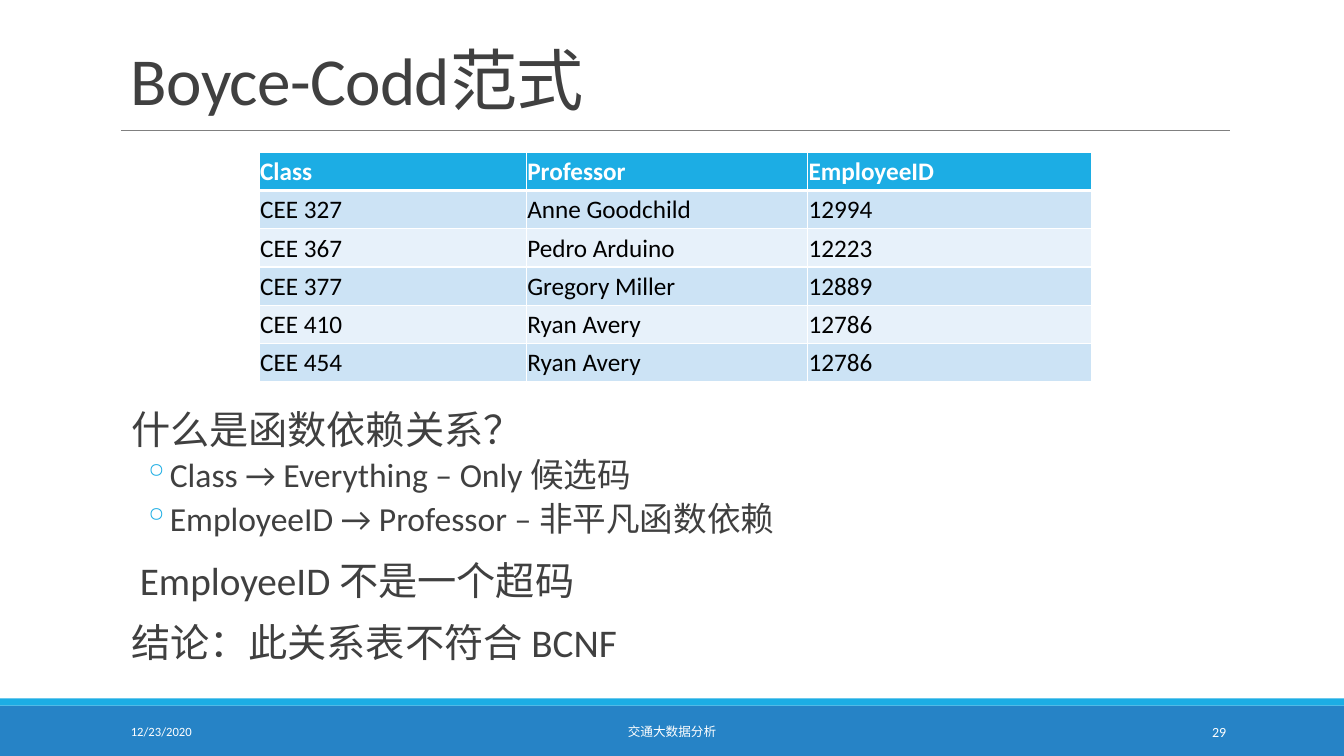
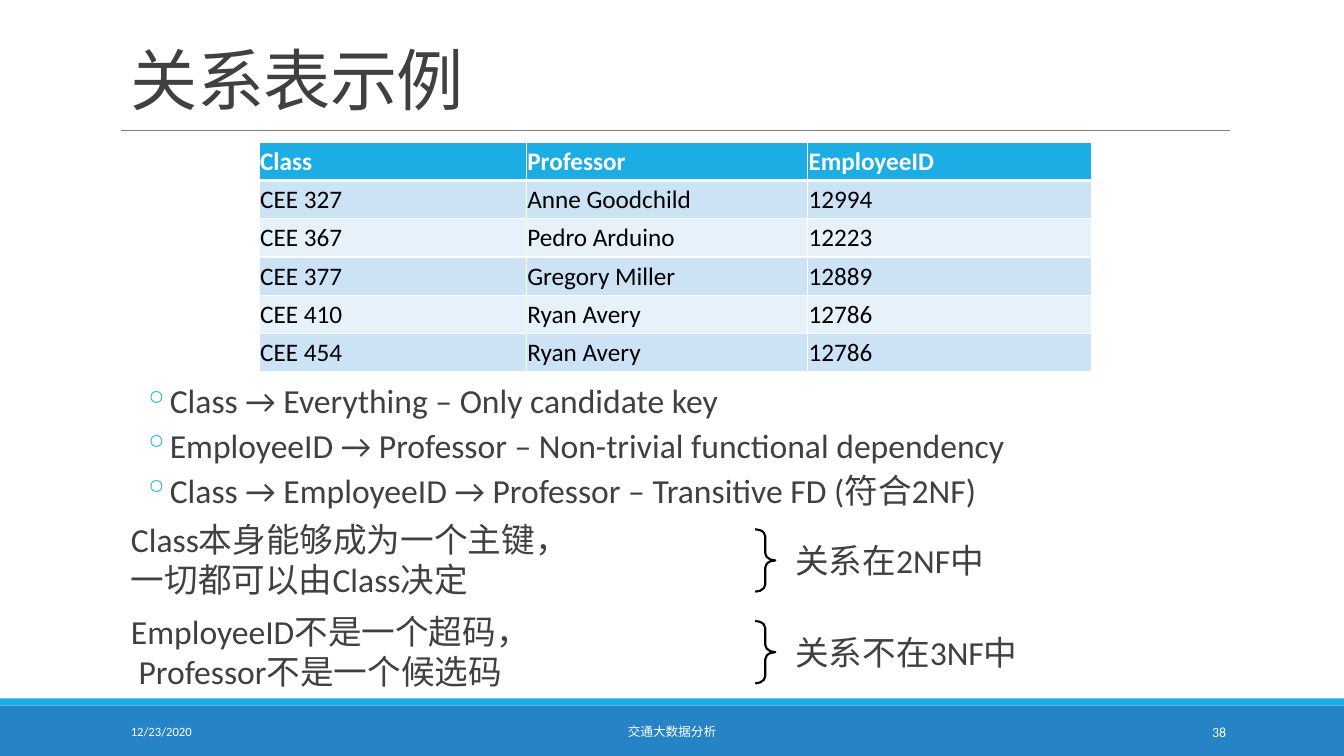
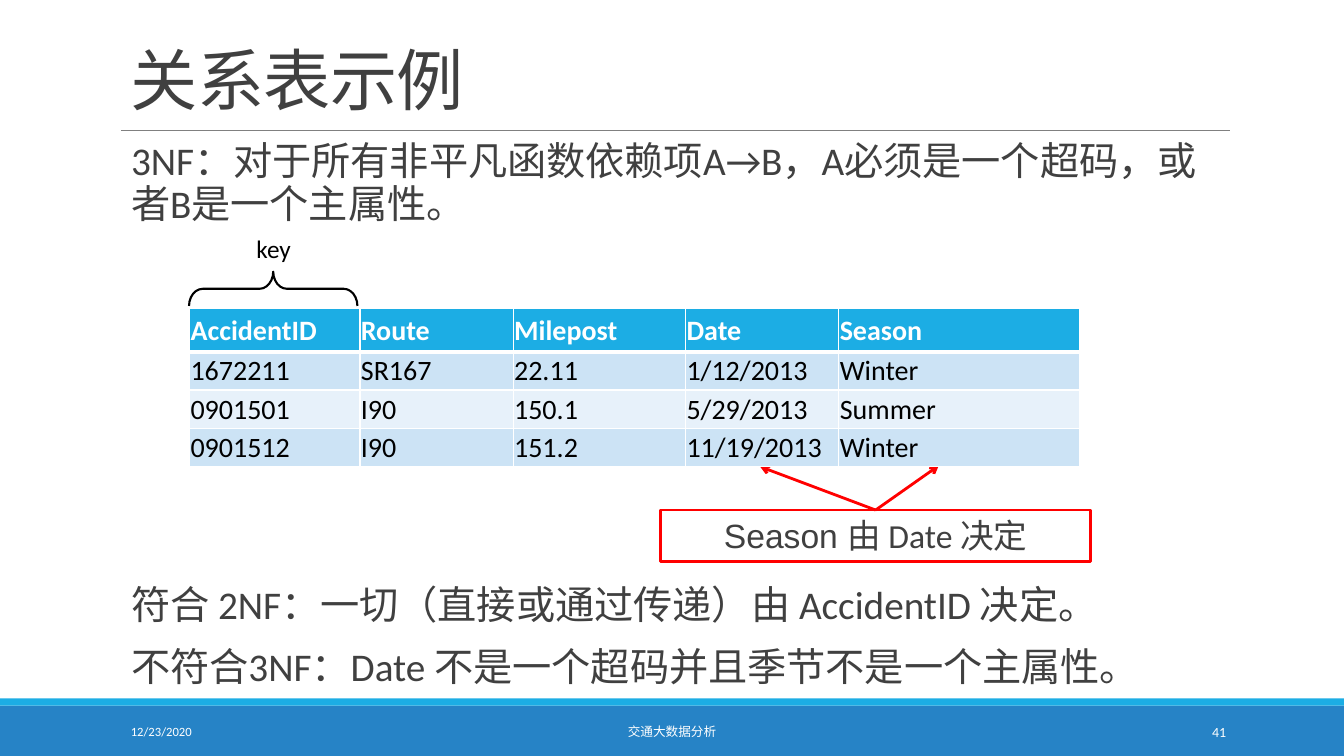
from lxml.etree import SubElement as Sub
from pptx import Presentation
from pptx.dml.color import RGBColor as Rgb
from pptx.enum.shapes import MSO_CONNECTOR as Link, MSO_SHAPE as Kind
from pptx.enum.text import MSO_ANCHOR as Anchor, PP_ALIGN as Align
from pptx.oxml.ns import qn
from pptx.util import Inches, Pt

HUES = {
    "white": "FFFFFF", "black": "000000", "ink": "404040", "rule": "808080",
    "band": "2683C6", "accent": "1CADE4", "dark row": "CCE3F5",
    "light row": "E7F1FA", "alert": "FF0000",
}
FONT = "Calibri"
LEFT, WIDE = 1.2, 11
STAFF = [
    ["Class", "Professor", "EmployeeID"],
    ["CEE 327", "Anne Goodchild", "12994"],
    ["CEE 367", "Pedro Arduino", "12223"],
    ["CEE 377", "Gregory Miller", "12889"],
    ["CEE 410", "Ryan Avery", "12786"],
    ["CEE 454", "Ryan Avery", "12786"],
]
CRASHES = [
    ["AccidentID", "Route", "Milepost", "Date", "Season"],
    ["1672211", "SR167", "22.11", "1/12/2013", "Winter"],
    ["0901501", "I90", "150.1", "5/29/2013", "Summer"],
    ["0901512", "I90", "151.2", "11/19/2013", "Winter"],
]


def hue(name):
    return Rgb.from_string(HUES[name])


def place(box):
    return [Inches(v) for v in box]


def add_run(para, text, size, color="ink", font=FONT, bold=False):
    run = para.add_run()
    run.text = text
    face = run.font
    face.size, face.name, face.bold = Pt(size), font, bold
    face.color.rgb = hue(color)
    return run


def add_box(slide, box, anchor=Anchor.TOP, inset=0.1):
    frame = slide.shapes.add_textbox(*place(box)).text_frame
    frame.word_wrap = True
    frame.vertical_anchor = anchor
    frame.margin_left = frame.margin_right = Inches(inset)
    return frame


def add_para(frame, index):
    return frame.paragraphs[0] if index == 0 else frame.add_paragraph()


def add_label(slide, box, lines, size, color="ink", align=Align.LEFT,
              anchor=Anchor.TOP):
    frame = add_box(slide, box, anchor)
    for i, line in enumerate(lines):
        para = add_para(frame, i)
        para.alignment = align
        add_run(para, line, size, color)


def add_body(slide, box, items):
    """Items are (level, text); level 1 is smaller and has a bullet."""
    frame = add_box(slide, box, inset=0)
    for i, (level, text) in enumerate(items):
        para = add_para(frame, i)
        para.level = level
        para.line_spacing = 0.9
        para.space_before, para.space_after = [(Pt(12), Pt(2)), (Pt(2), Pt(4))][level]
        props = para._p.get_or_add_pPr()
        props.set("marL", str(Inches([0.1, 0.42][level])))
        props.set("indent", str(Inches([0, -0.2][level])))
        if level:
            tint = Sub(props, qn("a:buClr"))
            Sub(tint, qn("a:srgbClr"), val=HUES["accent"])
            Sub(props, qn("a:buChar"), char="◦")
        add_run(para, text, [28, 24][level])


def add_edge(cell, side, width):
    line = Sub(cell._tc.get_or_add_tcPr(), qn("a:ln" + side), w=str(Pt(width)))
    Sub(Sub(line, qn("a:solidFill")), qn("a:srgbClr"), val=HUES["white"])


def add_grid(slide, left, top, rows, widths, size, head=0.38, step=0.38):
    high = head + step * (len(rows) - 1)
    box = place((left, top, sum(widths), high))
    table = slide.shapes.add_table(len(rows), len(widths), *box).table
    for col, width in zip(table.columns, widths):
        col.width = Inches(width)
    for r, row in enumerate(rows):
        table.rows[r].height = Inches(step if r else head)
        fill = ("dark row" if r % 2 else "light row") if r else "accent"
        for c, text in enumerate(row):
            cell = table.cell(r, c)
            cell.vertical_anchor = Anchor.MIDDLE
            cell.margin_left = cell.margin_right = cell.margin_top = Inches(0.01)
            cell.margin_bottom = 0
            for side in "LRTB":
                thick = (r, side) in ((0, "B"), (1, "T"))
                add_edge(cell, side, 3 if thick else 1)
            cell.fill.solid()
            cell.fill.fore_color.rgb = hue(fill)
            add_run(cell.text_frame.paragraphs[0], text, size,
                    "black" if r else "white", bold=r == 0)


def add_form(slide, kind, box, fill=None, line=None, width=1.5):
    form = slide.shapes.add_shape(kind, *place(box))
    form.shadow.inherit = False
    if fill:
        form.fill.solid()
        form.fill.fore_color.rgb = hue(fill)
    else:
        form.fill.background()
    if line:
        form.line.color.rgb = hue(line)
        form.line.width = Pt(width)
    else:
        form.line.fill.background()
    return form


def add_brace(slide, box, bend, turn=0):
    brace = add_form(slide, Kind.RIGHT_BRACE, box, line="black")
    brace.adjustments[0] = bend
    brace.rotation = turn


def add_line(slide, start, end, color, width):
    line = slide.shapes.add_connector(Link.STRAIGHT, *place(start + end))
    line.line.color.rgb = hue(color)
    line.line.width = Pt(width)
    Sub(line._element.spPr, qn("a:effectLst"))
    return line


def add_slide(deck, title, number):
    """Blank slide with the shared bands, title, rule and footer."""
    slide = deck.slides.add_slide(deck.slide_layouts[6])
    add_form(slide, Kind.RECTANGLE, (0, 7, 13.33, 0.5), "band")
    add_form(slide, Kind.RECTANGLE, (0, 6.93, 13.33, 0.07), "accent")
    add_line(slide, (LEFT, 1.29), (LEFT + WIDE, 1.29), "rule", 0.5)
    frame = add_box(slide, (LEFT, 0.14, WIDE, 1.09), Anchor.BOTTOM)
    para = frame.paragraphs[0]
    para.line_spacing = 0.85
    run = add_run(para, title, 48)
    run._r.get_or_add_rPr().set("spc", "-50")
    for left, width, text, size, align in (
        (LEFT, 2.7, "12/23/2020", 9, Align.LEFT),
        (4.03, 5.27, "交通大数据分析", 9, Align.CENTER),
        (10.83, 1.43, str(number), 10, Align.RIGHT),
    ):
        add_label(slide, (left, 7.06, width, 0.4), [text], size, "white",
                  align, Anchor.MIDDLE)
    return slide


def add_staff(slide, top):
    add_grid(slide, 2.57, top, STAFF, (2.65, 2.79, 2.82), 18)


def add_proof(slide, top, lines, result):
    """Two lines of reasoning, braced to their conclusion."""
    add_label(slide, (LEFT, top, 6.51, 0.91), lines, 24)
    add_brace(slide, (7.49, top + 0.15, 0.2, 0.62), 0.36)
    add_label(slide, (7.79, top + 0.2, 3.96, 0.51), [result], 24,
              anchor=Anchor.MIDDLE)


def add_callout(slide, box, tips):
    note = add_form(slide, Kind.RECTANGLE, box, line="alert", width=2)
    frame = note.text_frame
    frame.word_wrap = True
    frame.vertical_anchor = Anchor.TOP
    para = frame.paragraphs[0]
    para.alignment = Align.CENTER
    add_run(para, "Season ", 24, font="Arial")
    add_run(para, "由 Date 决定", 24)
    left, top, width, _ = box
    for tip in tips:
        arrow = add_line(slide, (left + width / 2, top), tip, "alert", 2)
        arrow.begin_connect(note, 0)
        Sub(arrow.line._get_or_add_ln(), qn("a:tailEnd"), type="arrow")


def add_codd(deck):
    slide = add_slide(deck, "Boyce-Codd范式", 29)
    add_body(slide, (LEFT, 4.02, WIDE, 2.87), [
        (0, "什么是函数依赖关系？"),
        (1, "Class → Everything – Only 候选码"),
        (1, "EmployeeID → Professor – 非平凡函数依赖"),
        (0, " EmployeeID 不是一个超码"),
        (0, "结论：此关系表不符合 BCNF"),
    ])
    add_staff(slide, 1.51)


def add_forms(deck):
    slide = add_slide(deck, "关系表示例", 38)
    add_staff(slide, 1.41)
    add_body(slide, (LEFT, 3.77, WIDE, 1.46), [
        (1, "Class → Everything – Only candidate key"),
        (1, "EmployeeID → Professor – Non-trivial functional dependency"),
        (1, "Class → EmployeeID → Professor – Transitive FD (符合2NF)"),
    ])
    proofs = (
        (["Class本身能够成为一个主键，", "一切都可以由Class决定"], "关系在2NF中"),
        (["EmployeeID不是一个超码，", " Professor不是一个候选码"], "关系不在3NF中"),
    )
    for i, (lines, result) in enumerate(proofs):
        add_proof(slide, 5.1 + 0.91 * i, lines, result)


def add_third(deck):
    slide = add_slide(deck, "关系表示例", 41)
    add_body(slide, (LEFT, 1.36, WIDE, 0.98), [
        (0, "3NF：对于所有非平凡函数依赖项A→B，A必须是一个超码，或者B是一个主属性。"),
    ])
    add_brace(slide, (2.54, 2.03, 0.34, 1.67), 0.4, 270)
    add_label(slide, (1.88, 2.27, 1.67, 0.42), ["key"], 18, "black", Align.CENTER)
    add_callout(slide, (6.55, 5.06, 4.27, 0.51), [(7.54, 4.63), (9.31, 4.62)])
    add_body(slide, (LEFT, 5.76, WIDE, 1.14), [
        (0, "符合 2NF：一切（直接或通过传递）由 AccidentID 决定。"),
        (0, "不符合3NF：Date 不是一个超码并且季节不是一个主属性。"),
    ])
    add_grid(slide, 1.88, 3.06, CRASHES, (1.69, 1.52, 1.71, 1.52, 2.39), 20,
             head=0.43)


def main():
    deck = Presentation()
    deck.slide_width, deck.slide_height = Inches(13.33), Inches(7.5)
    for build in (add_codd, add_forms, add_third):
        build(deck)
    deck.save("out.pptx")


if __name__ == "__main__":
    main()
